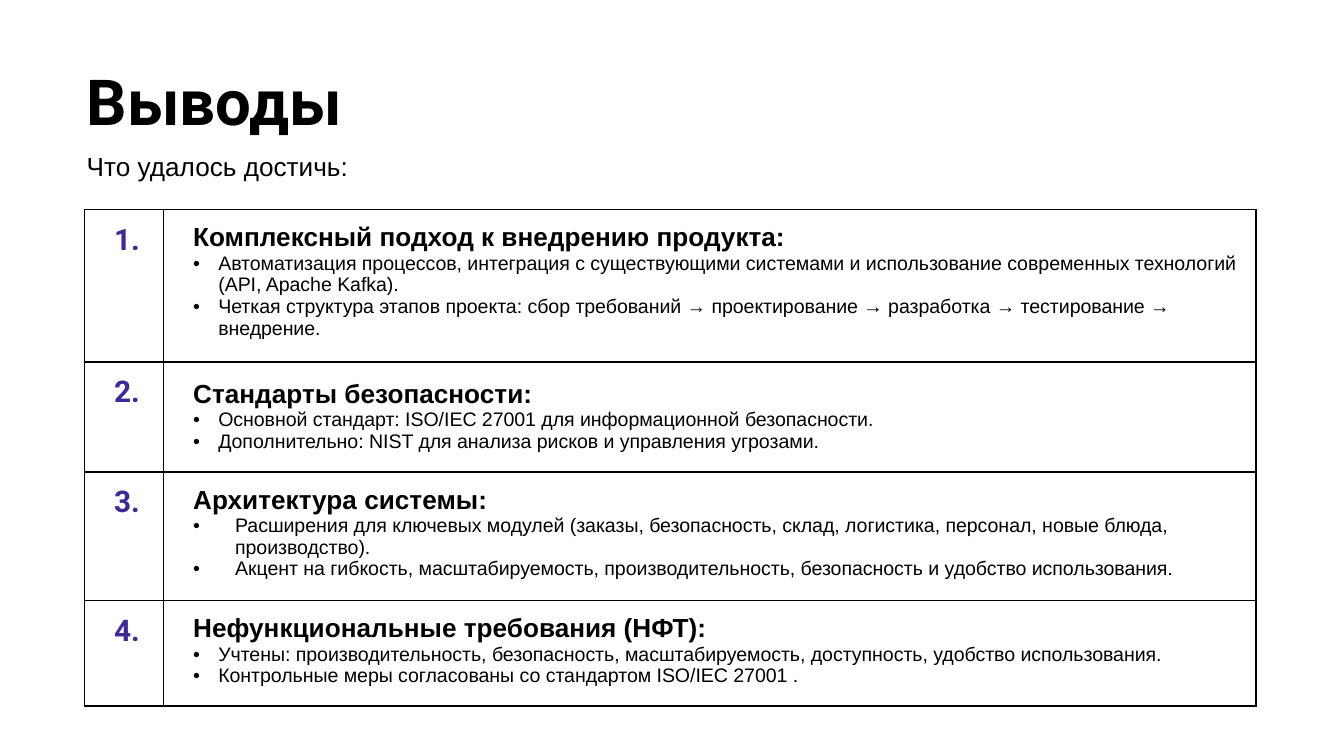
"""Builds the conclusions slide: a title, a lead-in and a numbered table of results."""
from lxml import etree
from pptx import Presentation
from pptx.dml.color import RGBColor
from pptx.enum.text import MSO_ANCHOR, MSO_AUTO_SIZE, PP_ALIGN
from pptx.oxml import parse_xml
from pptx.oxml.ns import nsdecls, qn
from pptx.util import Pt

TOP = MSO_ANCHOR.TOP
LEFT = PP_ALIGN.LEFT
FIT_SHAPE = MSO_AUTO_SIZE.SHAPE_TO_FIT_TEXT
NO_FIT = MSO_AUTO_SIZE.NONE
BLACK = "000000"
VIOLET = "3F299A"
ROW_HEIGHT = 30


def color(hex_string):
    return RGBColor.from_string(hex_string)


def style(paragraph, face, size, hex_string, bold=False):
    paragraph.alignment = LEFT
    paragraph.font.name = face
    paragraph.font.size = Pt(size)
    paragraph.font.bold = bold
    paragraph.font.color.rgb = color(hex_string)
    etree.SubElement(paragraph._p, qn("a:endParaRPr"), sz=str(int(size * 100)))


conclusions = [
    ("Комплексный подход к внедрению продукта:", 1, 13.5, [
        "Автоматизация процессов, интеграция с существующими системами и "
        "использование современных технологий (API, Apache Kafka).",
        "Четкая структура этапов проекта: сбор требований → проектирование → "
        "разработка → тестирование → внедрение.",
    ]),
    ("Стандарты безопасности:", 1.15, 13.5, [
        "Основной стандарт: ISO/IEC 27001 для информационной безопасности.",
        "Дополнительно: NIST для анализа рисков и управления угрозами.",
    ]),
    ("Архитектура системы:", 1, 22.5, [
        "Расширения для ключевых модулей (заказы, безопасность, склад, "
        "логистика, персонал, новые блюда, производство).",
        "Акцент на гибкость, масштабируемость, производительность, "
        "безопасность и удобство использования.",
    ]),
    ("Нефункциональные требования (НФТ):", 1, 13.5, [
        "Учтены: производительность, безопасность, масштабируемость, "
        "доступность, удобство использования.",
        "Контрольные меры согласованы со стандартом ISO/IEC 27001 .",
    ]),
]

presentation = Presentation()
presentation.slide_width = Pt(720)
presentation.slide_height = Pt(405)
slide = presentation.slides.add_slide(presentation.slide_layouts[5])

title = slide.shapes.title
title.left, title.top, title.width, title.height = Pt(39.4), Pt(25.9), Pt(671), Pt(86.4)
heading = title.text_frame
heading.text = "Выводы"
heading.vertical_anchor = TOP
heading.auto_size = NO_FIT
heading.margin_left = heading.margin_right = Pt(7.2)
heading.margin_top = heading.margin_bottom = Pt(7.2)
style(heading.paragraphs[0], "Roboto", 34, BLACK, True)

lead_in = slide.shapes.add_textbox(Pt(39.4), Pt(77), Pt(155.5), Pt(24.5)).text_frame
lead_in.word_wrap = False
lead_in.auto_size = FIT_SHAPE
lead_in.text = "Что удалось достичь:"
style(lead_in.paragraphs[0], "Arial", 14, BLACK)

results = slide.shapes.add_table(
    len(conclusions), 2, Pt(45.3), Pt(112.3),
    Pt(627.6), Pt(ROW_HEIGHT * len(conclusions))).table
results.first_row = False
results.horz_banding = False
results.columns[0].width = Pt(42.4)
results.columns[1].width = Pt(585.2)

for row, (topic, spacing, indent, points) in enumerate(conclusions):
    number_cell, topic_cell = results.cell(row, 0), results.cell(row, 1)

    for cell in (number_cell, topic_cell):
        cell.margin_left = Pt(15.8)
        cell.margin_right = cell.margin_top = cell.margin_bottom = Pt(7.2)
        cell.vertical_anchor = TOP
        cell.fill.background()
        properties = cell._tc.get_or_add_tcPr()
        for position, side in enumerate("LRTB"):
            properties.insert(position, parse_xml(
                f'<a:ln{side} {nsdecls("a")} w="{Pt(1)}"><a:solidFill>'
                f'<a:srgbClr val="{BLACK}"/></a:solidFill></a:ln{side}>'))

    number_cell.text = f"{row + 1}."
    style(number_cell.text_frame.paragraphs[0], "Roboto", 16, VIOLET, True)

    topic_cell.text = topic
    topic_line = topic_cell.text_frame.paragraphs[0]
    topic_line.line_spacing = spacing
    style(topic_line, "Arial", 14, BLACK, True)

    for point in points:
        item = topic_cell.text_frame.add_paragraph()
        item.text = point
        layout = item._p.get_or_add_pPr()
        layout.set("marL", str(Pt(indent)))
        layout.set("indent", str(-Pt(indent)))
        bullet_color = etree.SubElement(layout, qn("a:buClr"))
        etree.SubElement(bullet_color, qn("a:srgbClr"), val=BLACK)
        etree.SubElement(layout, qn("a:buFont"), typeface="Arial")
        etree.SubElement(layout, qn("a:buChar"), char="•")
        style(item, "Arial", 10.5, BLACK)

presentation.save("out.pptx")
